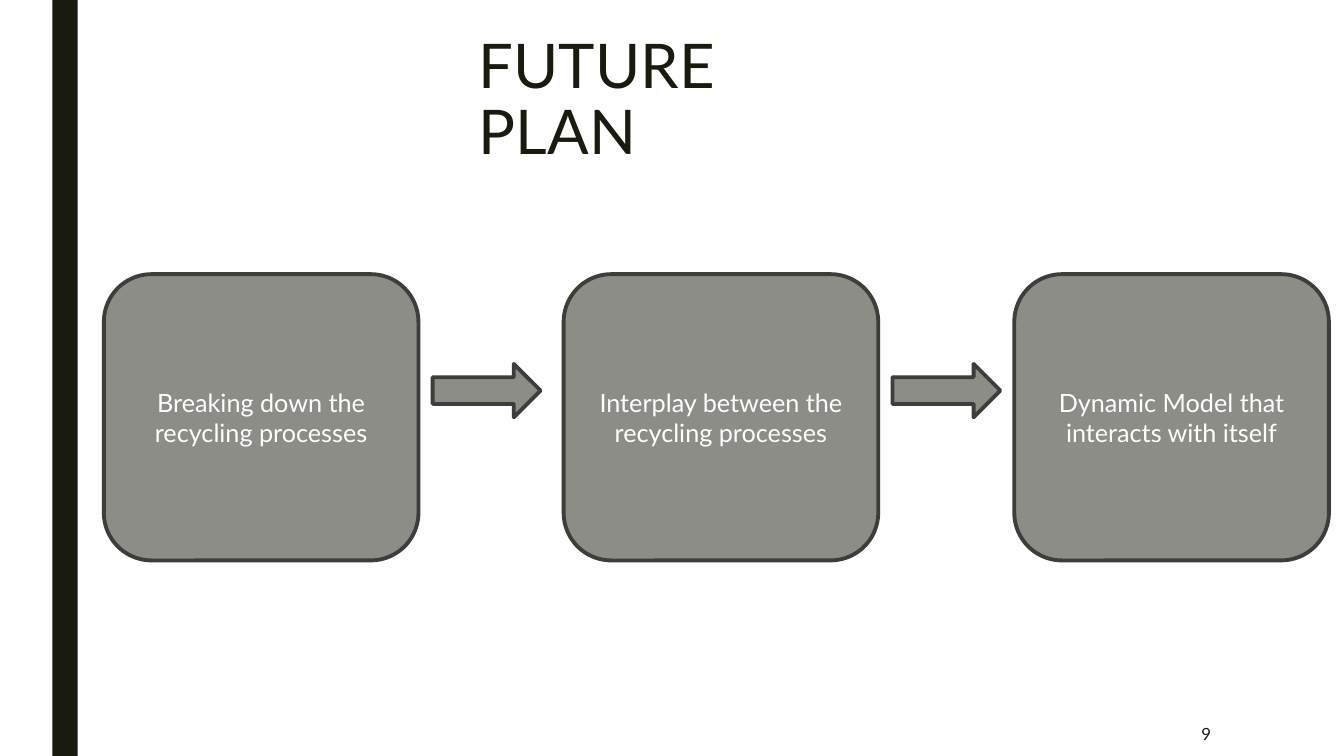
"""Build the future plan slide: three stages joined by block arrows."""
import pptx
import pptx.dml.color
import pptx.enum.shapes
import pptx.enum.text
import pptx.util

SHAPE = pptx.enum.shapes.MSO_SHAPE
ALIGN = pptx.enum.text.PP_ALIGN
ANCHOR = pptx.enum.text.MSO_ANCHOR

THEME = {
    "font": "Lato",
    "ink": "191B0E",
    "stage": "8C8D86",
    "outline": "3D3E3B",
    "light": "FFFFFF",
    "title_size": 44,
    "stage_size": 18,
    "number_size": 12,
    "outline_width": 2.75,
}

deck = pptx.Presentation()
deck.slide_width = pptx.util.Inches(13.33)
deck.slide_height = pptx.util.Inches(7.5)
slide = deck.slides.add_slide(deck.slide_layouts[6])
column = deck.slide_width / 100
row = deck.slide_height / 100


def write(holder, text, size, color="ink", align=ALIGN.LEFT, anchor=ANCHOR.MIDDLE,
          spacing=1.0, right_inset=0.1):
    """Put formatted text into a shape or text box."""
    frame = holder.text_frame
    frame.word_wrap = True
    frame.vertical_anchor = anchor
    frame.margin_right = pptx.util.Inches(right_inset)
    paragraph = frame.paragraphs[0]
    paragraph.text = text
    paragraph.alignment = align
    paragraph.line_spacing = spacing
    paragraph.font.name = THEME["font"]
    paragraph.font.size = pptx.util.Pt(THEME[size])
    paragraph.font.color.rgb = pptx.dml.color.RGBColor.from_string(THEME[color])


def draw(kind, left, top, width, height, fill, outline=None):
    """Add a flat preset shape measured in grid columns and rows."""
    shape = slide.shapes.add_shape(
        kind, int(left * column), int(top * row), int(width * column), int(height * row))
    shape.shadow.inherit = False
    shape.fill.solid()
    shape.fill.fore_color.rgb = pptx.dml.color.RGBColor.from_string(THEME[fill])
    if outline:
        shape.line.color.rgb = pptx.dml.color.RGBColor.from_string(THEME[outline])
        shape.line.width = pptx.util.Pt(THEME["outline_width"])
    else:
        shape.line.fill.background()
    return shape


draw(SHAPE.RECTANGLE, 3.9, 0, 1.88, 100, "ink")

title = slide.shapes.add_textbox(
    int(34.88 * column), int(4.13 * row), int(31.5 * column), int(12 * row))
write(title, "FUTURE PLAN", "title_size", anchor=ANCHOR.TOP, spacing=0.89, right_inset=0.4)

page_number = slide.shapes.add_textbox(
    int(77.72 * column), int(94.13 * row), int(13.13 * column), int(5.87 * row))
write(page_number, "9", "number_size", align=ALIGN.RIGHT)

stages = [
    (7.73, "Breaking down the recycling processes"),
    (41.94, "Interplay between the recycling processes"),
    (75.47, "Dynamic Model that interacts with itself"),
]
for left, text in stages:
    stage = draw(SHAPE.ROUNDED_RECTANGLE, left, 36.27, 23.41, 37.87, "stage", "outline")
    write(stage, text, "stage_size", color="light", align=ALIGN.CENTER)

for left, text in stages[:-1]:
    draw(SHAPE.RIGHT_ARROW, left + 24.46, 48.13, 8.03, 7.07, "stage", "outline")

deck.save("out.pptx")
